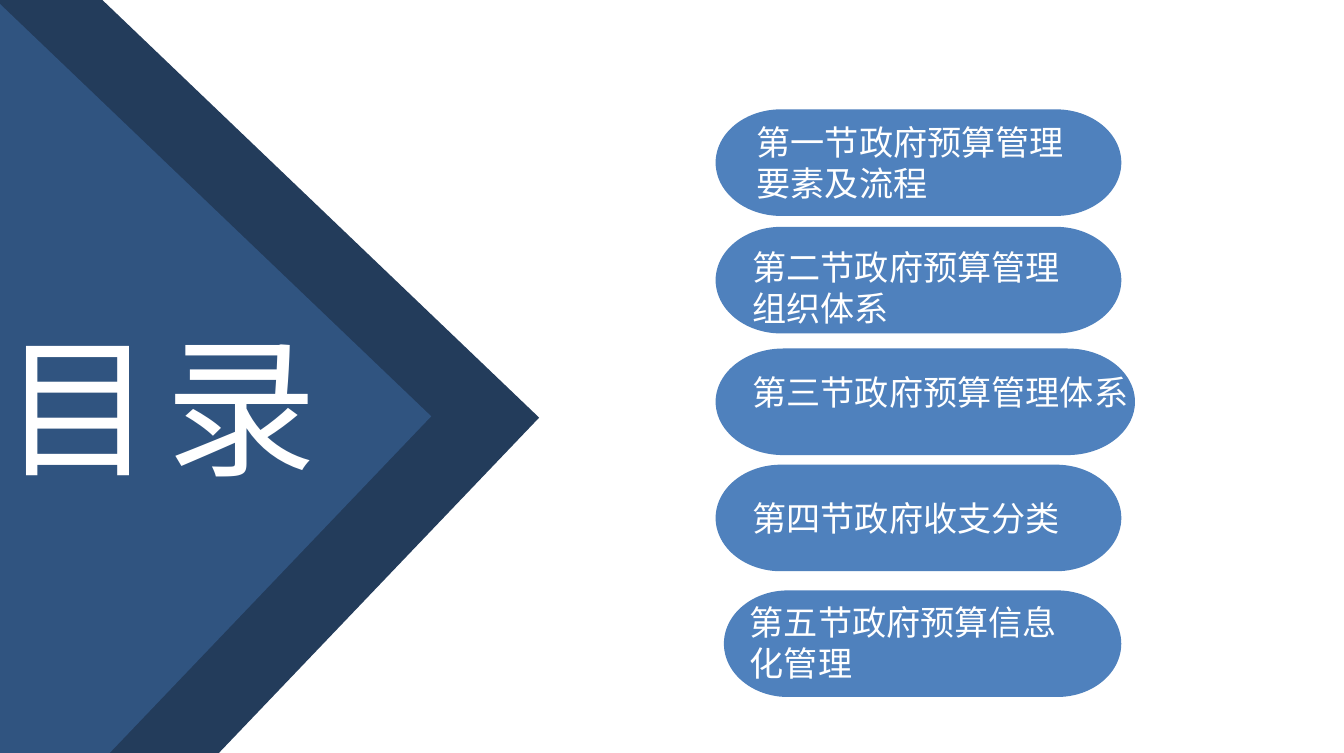
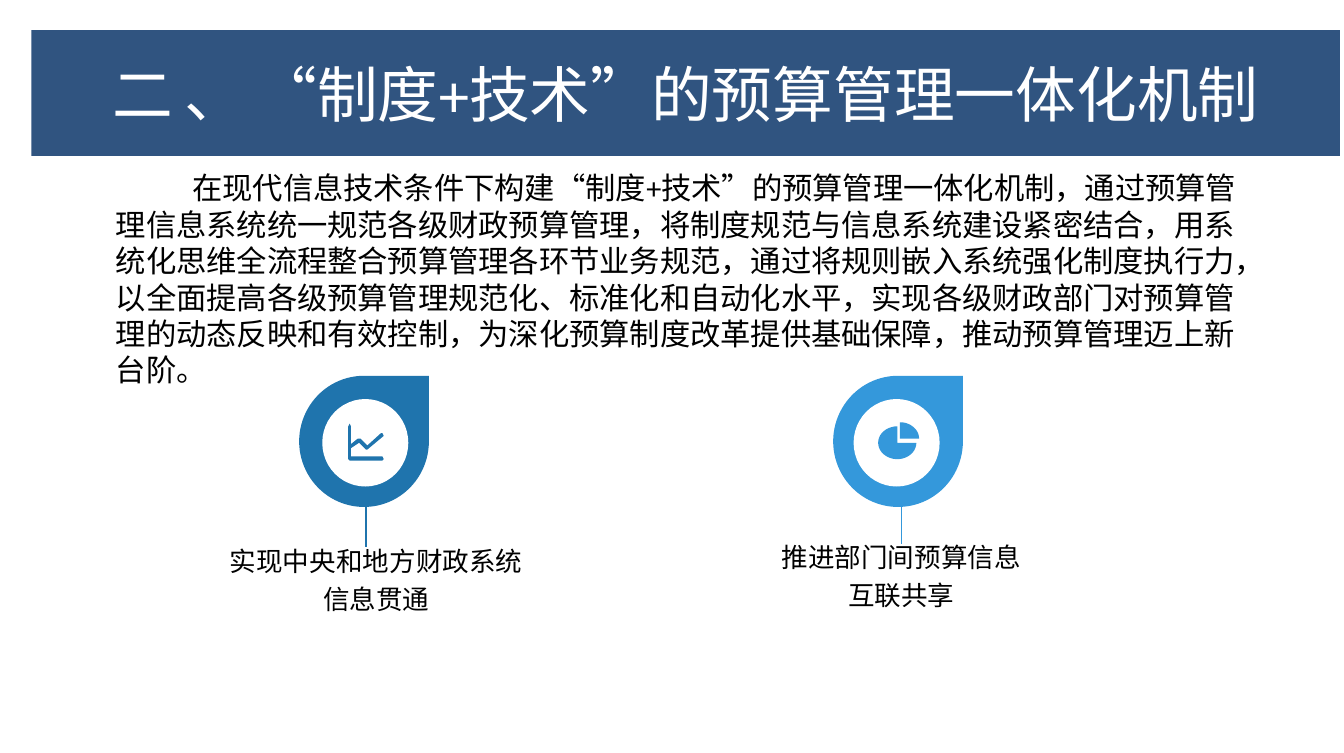
import math

from lxml import etree
from pptx import Presentation
from pptx.dml.color import RGBColor
from pptx.enum import shapes, text
from pptx.oxml import ns
from pptx.util import Inches, Pt

WHITE = RGBColor(0xFF, 0xFF, 0xFF)
BLACK = RGBColor(0, 0, 0)
NAVY = RGBColor(0x23, 0x3C, 0x5B)
BAND_BLUE = RGBColor(0x30, 0x54, 0x80)
PILL_BLUE = RGBColor(0x4F, 0x81, 0xBD)
PIN_DARK = RGBColor(0x1F, 0x74, 0xAD)
PIN_LIGHT = RGBColor(0x34, 0x98, 0xDB)

CJK_FONT = "Noto Sans CJK SC"
LATIN_FONT = "Calibri"
TIGHT = (0.07, 0.04, 0.07, 0.04)
CAPTION_INSETS = (0.07, 0.04, 0.07, 0)

Shape = shapes.MSO_SHAPE
Anchor = text.MSO_ANCHOR
Align = text.PP_ALIGN

# pill left, top, width; label left, top, height; label lines
SECTIONS = [
    (5.24, 0.8, 2.97, 5.47, 0.85, 0.68, ["第一节政府预算管理", "要素及流程"]),
    (5.24, 1.66, 2.97, 5.44, 1.76, 0.68, ["第二节政府预算管理", "组织体系"]),
    (5.24, 2.55, 3.07, 5.44, 2.68, 0.38, ["第三节政府预算管理体系"]),
    (5.24, 3.4, 2.97, 5.44, 3.6, 0.38, ["第四节政府收支分类"]),
    (5.3, 4.32, 2.91, 5.42, 4.36, 0.68, ["第五节政府预算信息", "化管理"]),
]

MECHANISM = (
    "在现代信息技术条件下构建“制度+技术”的预算管理一体化机制，"
    "通过预算管理信息系统统一规范各级财政预算管理，"
    "将制度规范与信息系统建设紧密结合，"
    "用系统化思维全流程整合预算管理各环节业务规范，"
    "通过将规则嵌入系统强化制度执行力，"
    "以全面提高各级预算管理规范化、标准化和自动化水平，"
    "实现各级财政部门对预算管理的动态反映和有效控制，"
    "为深化预算制度改革提供基础保障，推动预算管理迈上新台阶。"
)

LINE_CHART = [
    (2.81, 3.19), (2.69, 3.29), (2.68, 3.29), (2.63, 3.24), (2.57, 3.28),
    (2.57, 3.34), (2.8, 3.34), (2.81, 3.36), (2.8, 3.37), (2.56, 3.37),
    (2.55, 3.36), (2.55, 3.12), (2.56, 3.1), (2.57, 3.12), (2.57, 3.25),
    (2.62, 3.21), (2.64, 3.21), (2.69, 3.26), (2.79, 3.17), (2.8, 3.17),
]


def inches(*lengths):
    return [Inches(length) for length in lengths]


def set_font(font, size, color, name=CJK_FONT, spacing=0):
    """Style a font for Latin and Chinese; spacing is in points."""
    font.size = Pt(size)
    font.color.rgb = color
    font.name = name
    properties = font._element
    if spacing:
        properties.set("spc", str(spacing * 100))
    east_asian = etree.SubElement(properties, ns.qn("a:ea"))
    east_asian.set("typeface", CJK_FONT)


def set_insets(frame, insets):
    (frame.margin_left, frame.margin_top,
     frame.margin_right, frame.margin_bottom) = inches(*insets)


def paint(shape, color):
    shape.shadow.inherit = False
    shape.fill.solid()
    shape.fill.fore_color.rgb = color
    shape.line.fill.background()
    return shape


def add_filled(slide, kind, box, color, rotation=0):
    shape = paint(slide.shapes.add_shape(kind, *inches(*box)), color)
    shape.rotation = rotation
    return shape


def add_text(slide, box, lines, size, color, name=CJK_FONT, spacing=0,
             insets=TIGHT, anchor=Anchor.TOP, align=Align.LEFT,
             line_spacing=None):
    frame = slide.shapes.add_textbox(*inches(*box)).text_frame
    frame.word_wrap = True
    frame.vertical_anchor = anchor
    set_insets(frame, insets)
    frame.text = "\n".join(lines)
    for paragraph in frame.paragraphs:
        paragraph.alignment = align
        paragraph.line_spacing = line_spacing
        set_font(paragraph.font, size, color, name, spacing)
    return frame


def add_outline(slide, contours, color):
    first, *others = [[inches(*point) for point in contour]
                      for contour in contours]
    builder = slide.shapes.build_freeform(*first[0], scale=1.0)
    builder.add_line_segments(first[1:], close=True)
    for contour in others:
        builder.move_to(*contour[0])
        builder.add_line_segments(contour[1:], close=True)
    paint(builder.convert_to_shape(), color)


def sector(x, y, start, end):
    """Points of a pie sector around x, y; degrees run clockwise from east."""
    arc = [(x + 0.14 * math.cos(math.radians(angle)),
            y + 0.12 * math.sin(math.radians(angle)))
           for angle in range(start, end + 1, 9)]
    return [(x, y)] + arc


def add_stem(slide, x, top, bottom, color):
    stem = slide.shapes.add_connector(
        shapes.MSO_CONNECTOR.STRAIGHT, *inches(x, top, x, bottom))
    stem.line.color.rgb = color
    stem.line.width = Pt(1)
    etree.SubElement(stem._element.spPr, ns.qn("a:effectLst"))


def add_pin(slide, left, disc_left, stem, icon, color, caption_box, caption):
    """Teardrop with an icon, a stem and a caption below."""
    add_text(slide, caption_box, caption, 14, BLACK, insets=CAPTION_INSETS,
             anchor=Anchor.BOTTOM, align=Align.CENTER, line_spacing=1.2)
    add_filled(slide, Shape.TEAR, (left, 2.75, 0.95, 0.96), color)
    add_stem(slide, *stem, color)
    add_filled(slide, Shape.OVAL, (disc_left, 2.92, 0.63, 0.64), WHITE)
    add_outline(slide, icon, color)


def add_title_band(slide, number, title):
    band = add_filled(slide, Shape.RECTANGLE, (0.23, 0.22, 9.58, 0.92),
                      BAND_BLUE)
    frame = band.text_frame
    frame.word_wrap = True
    frame.vertical_anchor = Anchor.MIDDLE
    set_insets(frame, (0.09, 0.04, 0.09, 0.04))
    paragraph = frame.paragraphs[0]
    paragraph.alignment = Align.CENTER
    for words, name, spacing in ((number, CJK_FONT, 6),
                                 (title, LATIN_FONT, 0)):
        run = paragraph.add_run()
        run.text = words
        set_font(run.font, 32, WHITE, name, spacing)


def build_contents(slide):
    for left, top, color in ((-5.37, -0.68, NAVY), (-6.16, -0.69, BAND_BLUE)):
        add_filled(slide, Shape.RECTANGLE, (left, top, 7.72, 7.72), color,
                   rotation=43.7)
    add_text(slide, (-0.05, 2.25, 3.17, 1.42), ["目录"], 80, WHITE, spacing=6)
    for left, top, width, label_left, label_top, height, lines in SECTIONS:
        add_filled(slide, Shape.FLOWCHART_TERMINATOR,
                   (left, top, width, 0.78), PILL_BLUE)
        add_text(slide, (label_left, label_top, 3.17, height), lines, 18,
                 WHITE)


def build_mechanism(slide):
    body = add_text(slide, (0.75, 1.19, 8.54, 1.72), [MECHANISM], 16, BLACK,
                    name=LATIN_FONT, insets=(0.1, 0.05, 0.1, 0.05))
    properties = body.paragraphs[0]._p.get_or_add_pPr()
    properties.set("marL", "0")
    properties.set("indent", str(Inches(0.56)))
    add_pin(slide, 2.19, 2.36, (2.68, 3.71, 4), [LINE_CHART], PIN_DARK,
            (1.54, 4.17, 2.43, 0.33), ["实现中央和地方财政系统信息贯通"])
    pie = [sector(6.59, 3.21, 270, 360), sector(6.57, 3.24, 0, 270)]
    add_pin(slide, 6.1, 6.25, (6.6, 3.7, 3.98), pie, PIN_LIGHT,
            (5.27, 4.14, 2.66, 0.33), ["推进部门间预算信息", "互联共享"])
    add_title_band(slide, "二、", "“制度+技术”的预算管理一体化机制")


def main():
    deck = Presentation()
    deck.slide_width, deck.slide_height = inches(9.84, 5.51)
    blank = deck.slide_layouts[6]
    for build in (build_contents, build_mechanism):
        build(deck.slides.add_slide(blank))
    deck.save("out.pptx")


if __name__ == "__main__":
    main()
